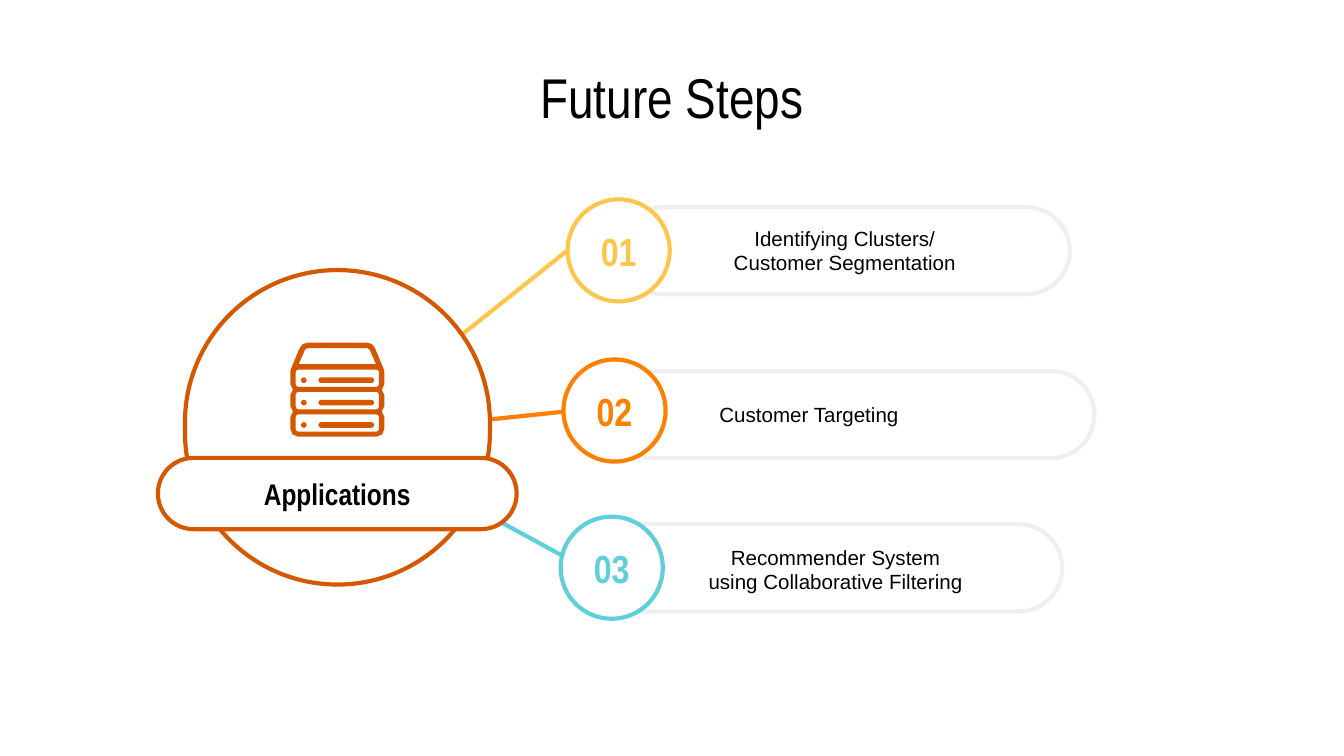
from dataclasses import dataclass

from lxml.etree import SubElement
from pptx import Presentation
from pptx.dml.color import RGBColor
from pptx.enum.shapes import MSO_CONNECTOR as Connector, MSO_SHAPE as Shape
from pptx.enum.text import MSO_ANCHOR as Anchor, MSO_AUTO_SIZE as AutoSize, PP_ALIGN as Align
from pptx.oxml.ns import qn
from pptx.util import Pt


@dataclass(frozen=True)
class Theme:
    """Colours, fonts, type sizes and line width of the slide."""
    white: str = "FFFFFF"
    ink: str = "000000"
    pale: str = "EFEFEF"
    rust: str = "D55800"
    yellow: str = "FFC64E"
    orange: str = "FF8001"
    teal: str = "5FD0DB"
    heading_font: str = "Arial Narrow"
    body_font: str = "Arial"
    title_size: float = 30
    number_size: float = 21
    hub_size: float = 16
    label_size: float = 11
    outline: float = 2.25


@dataclass(frozen=True)
class Step:
    """One numbered step with its places in points."""
    number: str
    label: str
    colour: str
    pill: tuple
    circle: tuple
    line: tuple
    label_box: tuple


THEME = Theme()
MARGINS = (7.2, 7.2, 7.2, 7.2)
NUMBER_MARGINS = (0, 7.2, 0, 7.2)
PILL_HEIGHT = 46.8
CIRCLE_SIZE = 54.7
STEPS = (
    Step("01", "Identifying Clusters/ Customer Segmentation", THEME.yellow,
         (331.9, 110.9, 241.2), (304.1, 106.8), (180.7, 232.6, 312.5, 127.4),
         (379.4, 110.6, 146.4, PILL_HEIGHT)),
    Step("02", "Customer Targeting", THEME.orange,
         (325.7, 198.7, 260.6), (301.9, 192.6), (180.7, 233.3, 304.6, 220.3),
         (363.7, 206.4, 139.4, 31)),
    Step("03", "Recommender System using Collaborative Filtering", THEME.teal,
         (308.5, 280.8, 260.6), (300.4, 276.8), (180.7, 231.8, 303.3, 298.8),
         (371, 289.6, 153.4, 31)),
)


def rgb(value):
    """Turn a hex string into a colour."""
    return RGBColor.from_string(value)


def write(box, text, font, size, colour, bold=False, margins=MARGINS):
    """Put one centred run of text in a box."""
    frame = box.text_frame
    frame.word_wrap = True
    frame.auto_size = AutoSize.NONE
    frame.vertical_anchor = Anchor.MIDDLE
    (frame.margin_left, frame.margin_top,
     frame.margin_right, frame.margin_bottom) = map(Pt, margins)
    para = frame.paragraphs[0]
    para.alignment = Align.CENTER
    span = para.add_run()
    span.text = text
    span.font.name = font
    span.font.size = Pt(size)
    span.font.bold = bold
    span.font.color.rgb = rgb(colour)


def paint(shape, fill, line=None):
    """Set a shape's fill and outline and drop its shadow."""
    shape.shadow.inherit = False
    shape.fill.solid()
    shape.fill.fore_color.rgb = rgb(fill)
    if line:
        shape.line.color.rgb = rgb(line)
        shape.line.width = Pt(THEME.outline)
    else:
        shape.line.fill.background()


def add_preset(parent, kind, place, fill, line=None):
    """Add an ellipse or a fully rounded bar."""
    shape = parent.shapes.add_shape(kind, *map(Pt, place))
    if kind == Shape.ROUNDED_RECTANGLE:
        shape.adjustments[0] = 0.5
    paint(shape, fill, line)
    return shape


def add_line(page, ends, colour):
    """Add a straight coloured line."""
    line = page.shapes.add_connector(Connector.STRAIGHT, *map(Pt, ends))
    line.line.color.rgb = rgb(colour)
    line.line.width = Pt(THEME.outline)
    SubElement(line._element.spPr, qn("a:effectLst"))


def add_title(page, text):
    """Place and fill the title placeholder."""
    title = page.shapes.title
    title.left, title.top, title.width, title.height = map(Pt, (36, 32.4, 648, 38.2))
    write(title, text, THEME.heading_font, THEME.title_size, THEME.ink)


def add_step(page, step):
    """Add a step's pill, line, numbered circle and label."""
    add_preset(page, Shape.ROUNDED_RECTANGLE, (*step.pill, PILL_HEIGHT), THEME.white, THEME.pale)
    add_line(page, step.line, step.colour)
    circle = add_preset(page, Shape.OVAL, (*step.circle, CIRCLE_SIZE, CIRCLE_SIZE),
                        THEME.white, step.colour)
    write(circle, step.number, THEME.heading_font, THEME.number_size, step.colour,
          bold=True, margins=NUMBER_MARGINS)
    label = page.shapes.add_textbox(*map(Pt, step.label_box))
    write(label, step.label, THEME.body_font, THEME.label_size, THEME.ink)


def mirrored(right_side):
    """Close a contour by mirroring its right side about the icon's axis."""
    axis = 180.72
    return right_side + [(2 * axis - x, y) for x, y in reversed(right_side)]


def add_outline(parent, contours, colour):
    """Add a filled freeform whose inner contours are holes."""
    scaled = [[(Pt(x), Pt(y)) for x, y in contour] for contour in contours]
    builder = parent.shapes.build_freeform(*scaled[0][0])
    for index, contour in enumerate(scaled):
        if index:
            builder.move_to(*contour[0])
        builder.add_line_segments(contour[1:], close=True)
    paint(builder.convert_to_shape(), colour)


def add_server_icon(page):
    """Draw a stack of three server units under a sloping lid."""
    icon = page.shapes.add_group_shape()
    pitch = 12
    rows = range(3)
    shell = mirrored([
        (196.6, 183.6), (199.3, 184.4), (200.9, 186.5), (205.7, 198), (205.9, 199.5),
        (205.9, 205.9), (204.5, 208.8), (205.9, 211.7), (205.9, 217.6), (204.5, 220.5),
        (205.9, 223.4), (205.9, 229.7), (204.7, 232.8), (201.6, 234)])
    lid = mirrored([(196.6, 186.5), (198, 187.3), (201.4, 195.1)])
    windows = [
        mirrored([(x, y + row * pitch) for x, y in (
            (201.6, 198), (202.6, 198.4), (203, 199.4),
            (203, 205.9), (202.6, 206.9), (201.6, 207.3))])
        for row in rows]
    add_outline(icon, [shell, lid, *windows], THEME.rust)
    for row in rows:
        top = 202.2 + row * pitch
        add_preset(icon, Shape.OVAL, (161.3, top, 3, 3), THEME.rust)
        add_preset(icon, Shape.ROUNDED_RECTANGLE, (170.6, top, 29.8, 3), THEME.rust)


def add_hub(page, text):
    """Add the large round hub with its icon and name band."""
    add_preset(page, Shape.ROUNDED_RECTANGLE, (99.1, 144.7, 163.4, 168.5),
               THEME.white, THEME.rust)
    add_server_icon(page)
    band = add_preset(page, Shape.ROUNDED_RECTANGLE, (84.6, 245.3, 192.2, 38.2),
                      THEME.white, THEME.rust)
    write(band, text, THEME.heading_font, THEME.hub_size, THEME.ink, bold=True)


def main():
    """Build the slide and save it."""
    deck = Presentation()
    deck.slide_width, deck.slide_height = Pt(720), Pt(405)
    page = deck.slides.add_slide(deck.slide_layouts[5])
    add_title(page, "Future Steps")
    for step in STEPS:
        add_step(page, step)
    add_hub(page, "Applications")
    deck.save("out.pptx")


if __name__ == "__main__":
    main()
